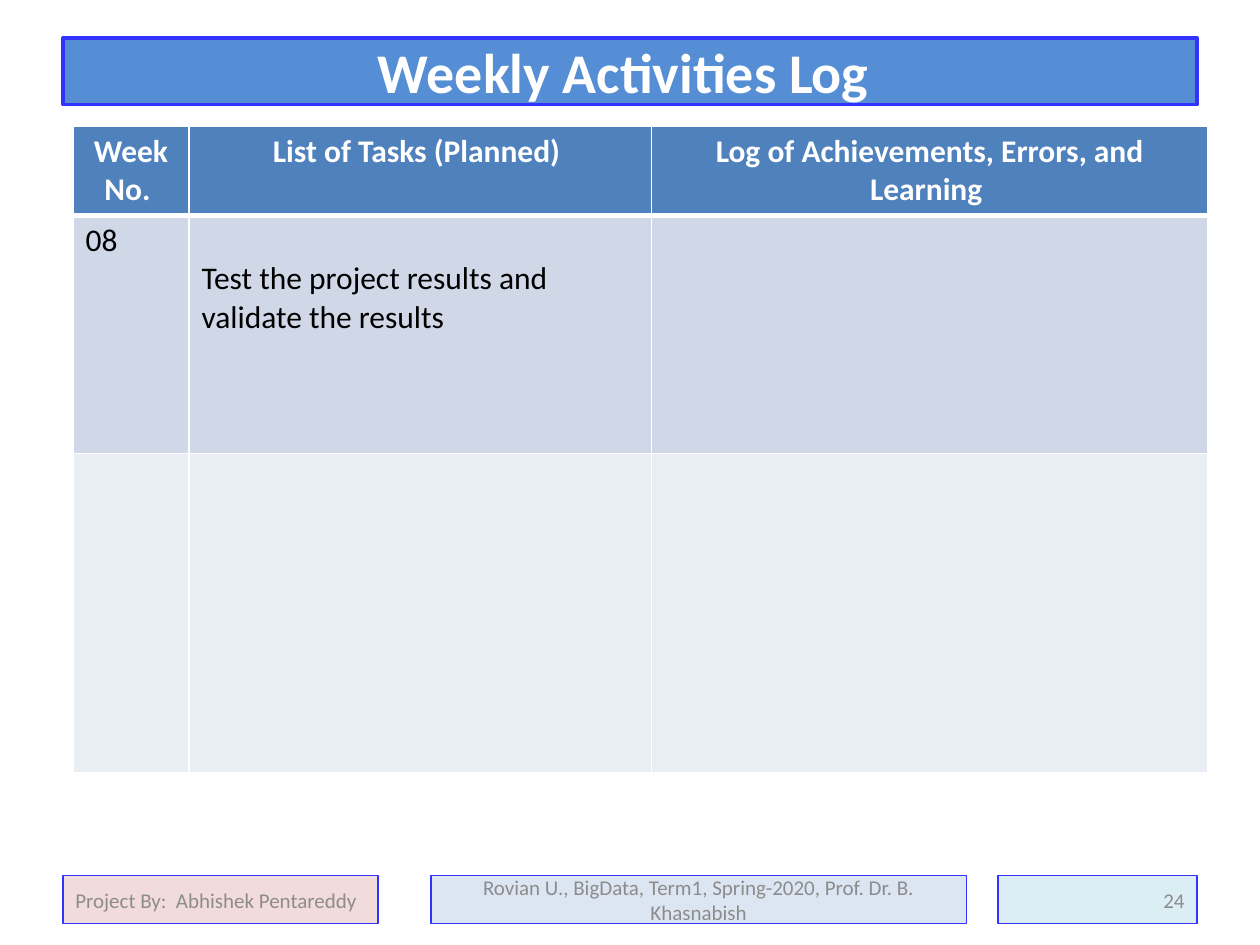
import pptx
import pptx.util
import pptx.dml.color
import pptx.enum.shapes
import pptx.enum.text
import pptx.oxml
import pptx.oxml.ns
import lxml.etree

Inches = pptx.util.Inches
Pt = pptx.util.Pt
Align = pptx.enum.text.PP_ALIGN
Anchor = pptx.enum.text.MSO_ANCHOR

FONT = "Calibri"
OUTLINE = "3333FF"
MARGIN = 0.5
CONTENT_WIDTH = 9


def colour(value):
    return pptx.dml.color.RGBColor.from_string(value)


def write(frame, text, size, text_colour, align=Align.LEFT, bold=False):
    frame.word_wrap = True
    paragraph = frame.paragraphs[0]
    paragraph.text = text
    paragraph.alignment = align
    font = paragraph.font
    font.name, font.size, font.bold = FONT, Pt(size), bold
    font.color.rgb = colour(text_colour)


def format_box(shape, box, fill, line_width):
    shape.left, shape.top, shape.width, shape.height = map(Inches, box)
    shape.fill.solid()
    shape.fill.fore_color.rgb = colour(fill)
    shape.line.color.rgb = colour(OUTLINE)
    shape.line.width = Pt(line_width)
    shape.text_frame.vertical_anchor = Anchor.MIDDLE


def add_title(slide, box, text):
    title = slide.shapes.title
    format_box(title, box, "558ED5", 2)
    title.text_frame.auto_size = pptx.enum.text.MSO_AUTO_SIZE.NONE
    write(title.text_frame, text, 32, "FFFFFF", Align.CENTER, True)


def set_borders(cell, bottom_width):
    properties = cell._tc.get_or_add_tcPr()
    widths = {"lnL": 1, "lnR": 1, "lnT": 1, "lnB": bottom_width}
    for index, (side, width) in enumerate(widths.items()):
        line = lxml.etree.Element(pptx.oxml.ns.qn("a:" + side), w=str(Pt(width)))
        fill = lxml.etree.SubElement(line, pptx.oxml.ns.qn("a:solidFill"))
        lxml.etree.SubElement(fill, pptx.oxml.ns.qn("a:srgbClr"), val="FFFFFF")
        properties.insert(index, line)


def add_log_table(slide, box, column_widths, row_heights, rows):
    frame = slide.shapes.add_table(len(rows), len(column_widths), *map(Inches, box))
    table = frame.table
    for column, width in zip(table.columns, column_widths):
        column.width = Inches(width)
    fills = ["4F81BD", "D0D8E8", "E9EDF4"]
    for row_index, texts in enumerate(rows):
        table.rows[row_index].height = Inches(row_heights[row_index])
        header = row_index == 0
        for column_index, text in enumerate(texts):
            cell = table.cell(row_index, column_index)
            cell.fill.solid()
            cell.fill.fore_color.rgb = colour(fills[row_index])
            set_borders(cell, 3 if header else 1)
            write(cell.text_frame, text, 18,
                  "FFFFFF" if header else "000000",
                  Align.CENTER if header else Align.LEFT, header)
    # The task starts one line below the week number
    table.cell(1, 1).margin_top = Inches(0.35)


def add_footer(slide, box, parts):
    left, top, width, height = box
    for offset, share, fill, text, align in parts:
        place = (left + offset * width, top, share * width, height)
        shape = slide.shapes.add_shape(
            pptx.enum.shapes.MSO_SHAPE.RECTANGLE, *map(Inches, place))
        shape.shadow.inherit = False
        format_box(shape, place, fill, 0.75)
        write(shape.text_frame, text, 12, "8C8C8C", align)


presentation = pptx.Presentation()
presentation.slide_width = Inches(10)
presentation.slide_height = Inches(7.5)
slide = presentation.slides.add_slide(presentation.slide_layouts[5])

# Title bar
add_title(slide, (MARGIN, 0.3, CONTENT_WIDTH, 0.53), "Weekly Activities Log ")

# Weekly log
add_log_table(
    slide, (0.58, 1, CONTENT_WIDTH, 5.13), [0.92, 3.67, 4.42], [0.71, 1.89, 2.53],
    [["Week No. ", "List of Tasks (Planned) ",
      "Log of Achievements, Errors, and Learning "],
     ["08", "Test the project results and validate the results", ""],
     ["", "", ""]])

# Footer: offset and width as shares of the content width
add_footer(slide, (MARGIN, 6.95, CONTENT_WIDTH, 0.38), [
    (0, 2.5 / 9, "F2DCDB", "Project By:  Abhishek Pentareddy", Align.LEFT),
    (2.92 / 9, 4.25 / 9, "DCE6F2",
     "Rovian U., BigData, Term1, Spring-2020, Prof. Dr. B. Khasnabish",
     Align.CENTER),
    (7.42 / 9, 1.58 / 9, "DBEEF4", "24", Align.RIGHT)])

presentation.save("out.pptx")
